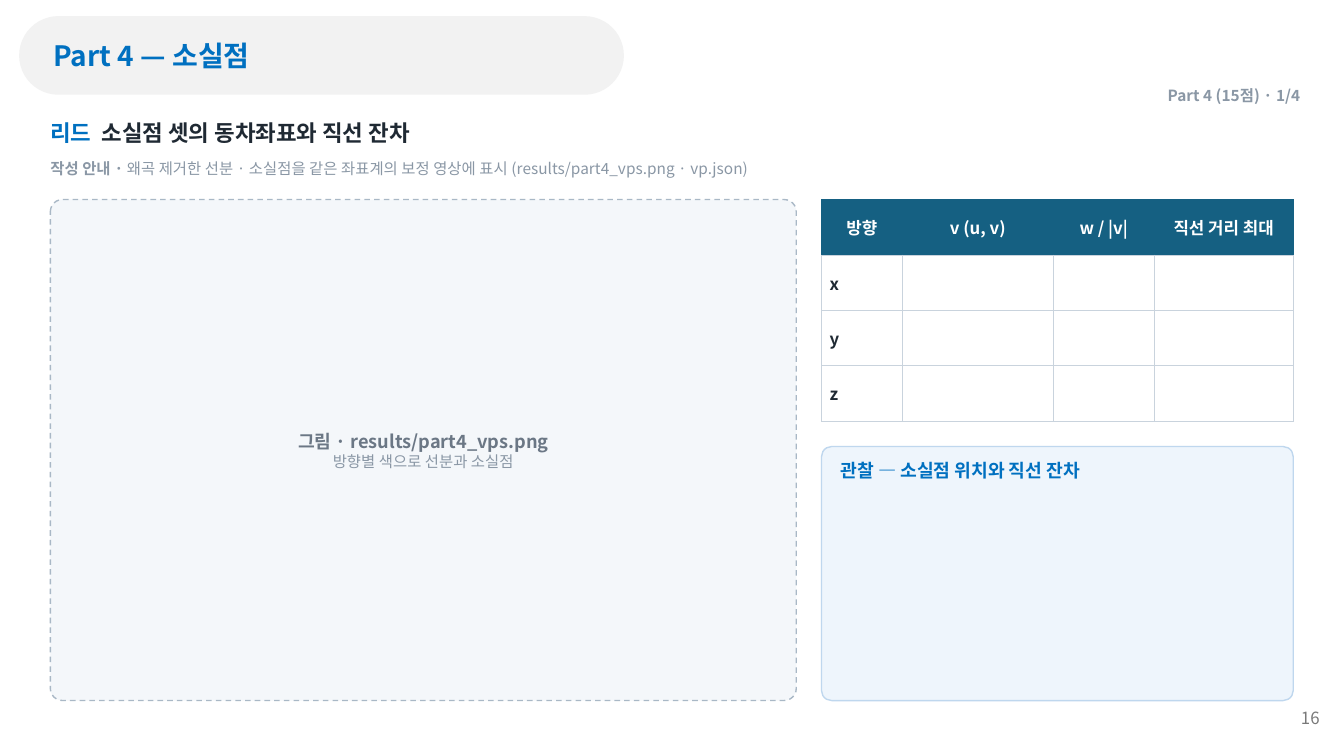
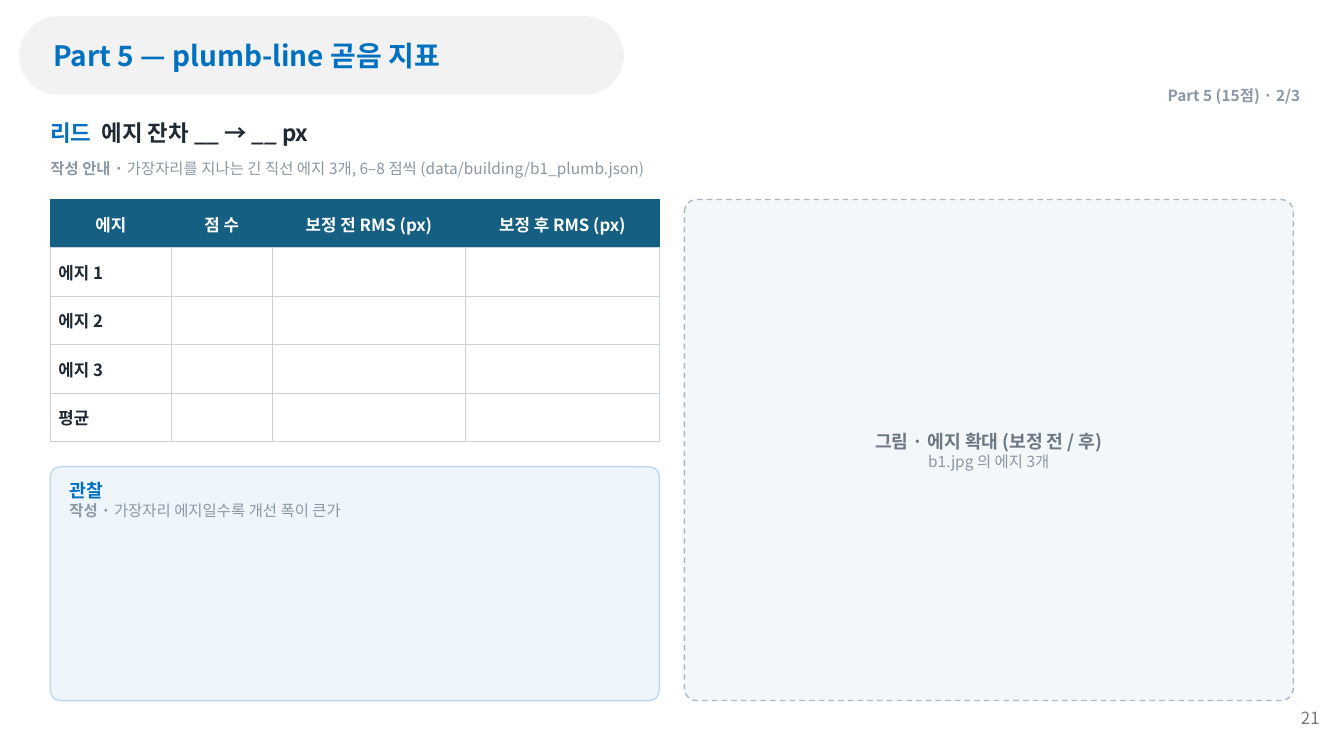
"""Build two report-template slides with a figure frame, a results table and an observation panel."""
from lxml import etree
from pptx import Presentation
from pptx import util as u
from pptx.dml.color import RGBColor
from pptx.enum import dml, shapes, text
from pptx.oxml import ns

FONT = "Noto Sans CJK KR"
COLOURS = {
    "blue": "0070C0", "ink": "1F2933", "muted": "8A97A5", "caption": "6B7785", "number": "797979",
    "pill": "F2F2F2", "frame": "F4F7FA", "frame_line": "A9B8C6", "panel": "EEF5FC",
    "panel_line": "BFD7EE", "header": "156082", "grid": "C9D3DD", "white": "FFFFFF",
}
LEFT, RIGHT, TOP, BOTTOM, GAP = 36, 923.76, 142.56, 500.4, 18
PILL = (13.68, 11.52, 432, 56.16)
MIDDLE = text.MSO_ANCHOR.MIDDLE
CENTER, RIGHT_ALIGN = text.PP_ALIGN.CENTER, text.PP_ALIGN.RIGHT


def colour(name):
    """Return the named colour."""
    return RGBColor.from_string(COLOURS[name])


def points(*lengths):
    """Convert lengths in points."""
    return [u.Pt(length) for length in lengths]


def fill_frame(frame, paragraphs, insets=(0, 0, 0, 0), anchor=MIDDLE, align=None):
    """Write paragraphs of (text, size, colour, bold) runs into a text frame."""
    frame.word_wrap = True
    frame.vertical_anchor = anchor
    (frame.margin_left, frame.margin_top,
     frame.margin_right, frame.margin_bottom) = points(*insets)
    for index, runs in enumerate(paragraphs):
        para = frame.add_paragraph() if index else frame.paragraphs[0]
        write_runs(para, runs, align)


def write_runs(para, runs, align=None):
    """Add formatted runs to a paragraph."""
    para.alignment = align
    for words, size, name, bold in runs:
        span = para.add_run()
        span.text = words
        span.font.size = u.Pt(size)
        span.font.bold = bold
        span.font.color.rgb = colour(name)
        span.font.name = FONT
        etree.SubElement(span.font._element, ns.qn("a:ea"), typeface=FONT)


def add_label(page, place, runs, align=None):
    """Add a one-line text box."""
    box = page.shapes.add_textbox(*points(*place))
    fill_frame(box.text_frame, [runs], align=align)


def add_rounded(page, place, radius, fill, line=None):
    """Add a rounded rectangle with a corner radius in points."""
    box = page.shapes.add_shape(shapes.MSO_SHAPE.ROUNDED_RECTANGLE, *points(*place))
    box.adjustments[0] = radius / min(place[2:])
    box.shadow.inherit = False
    box.fill.solid()
    box.fill.fore_color.rgb = colour(fill)
    if line:
        box.line.color.rgb = colour(line)
        box.line.width = u.Pt(1)
    else:
        box.line.fill.background()
    return box


def add_figure(page, left, right, caption, detail):
    """Add a dashed figure frame with its caption."""
    box = add_rounded(page, (left, TOP, right - left, BOTTOM - TOP), 8.64, "frame", "frame_line")
    box.line.dash_style = dml.MSO_LINE.DASH
    lines = [[(caption, 13, "caption", True)], [(detail, 11, "muted", False)]]
    fill_frame(box.text_frame, lines, (8.64,) * 4, align=CENTER)


def add_observation(page, left, top, right, paragraphs):
    """Add an observation panel reaching the bottom of the content area."""
    box = add_rounded(page, (left, top, right - left, BOTTOM - top), 7.2, "panel", "panel_line")
    fill_frame(box.text_frame, paragraphs, (11.52, 7.2, 11.52, 5.76), text.MSO_ANCHOR.TOP)


def set_borders(cell, name):
    """Draw all four borders of a cell."""
    properties = cell._tc.get_or_add_tcPr()
    for index, side in enumerate(("lnL", "lnR", "lnT", "lnB")):
        border = etree.Element(ns.qn(f"a:{side}"), w=str(u.Pt(0.75)))
        fill = etree.SubElement(border, ns.qn("a:solidFill"))
        etree.SubElement(fill, ns.qn("a:srgbClr"), val=COLOURS[name])
        properties.insert(index, border)


def add_results(page, left, widths, row_height, headers, labels):
    """Add a table with headers, row labels and empty cells, and return its bottom."""
    height = row_height * (len(labels) + 1)
    holder = page.shapes.add_table(len(labels) + 1, len(headers),
                                   *points(left, TOP, sum(widths), height))
    table = holder.table
    table.horz_banding = False
    for column, width in zip(table.columns, widths):
        column.width = u.Pt(width)
    rows = [headers] + [[label] + [""] * (len(headers) - 1) for label in labels]
    for row_index, row in enumerate(rows):
        table.rows[row_index].height = u.Pt(row_height)
        is_header = row_index == 0
        for column_index, words in enumerate(row):
            cell = table.cell(row_index, column_index)
            cell.vertical_anchor = MIDDLE
            cell.margin_left = cell.margin_right = u.Pt(5.76)
            cell.margin_top = cell.margin_bottom = u.Pt(2.16)
            cell.fill.solid()
            cell.fill.fore_color.rgb = colour("header" if is_header else "white")
            set_borders(cell, "header" if is_header else "grid")
            if words:
                write_runs(cell.text_frame.paragraphs[0],
                           [(words, 12, "white" if is_header else "ink", True)],
                           CENTER if is_header else None)
    return TOP + height


def add_page(deck, title, section, lead, guide, number):
    """Add a slide with the shared title band, lead lines and page number."""
    page = deck.slides.add_slide(deck.slide_layouts.get_by_name("Title Only"))
    heading = page.shapes.title
    pill = add_rounded(page, PILL, PILL[3] / 2, "pill")
    heading._element.addprevious(pill._element)
    heading.left, heading.top, heading.width, heading.height = points(*PILL)
    fill_frame(heading.text_frame, [[(title, 20, "blue", True)]], (24.2, 3.6, 15.4, 3.6),
               align=text.PP_ALIGN.LEFT)
    add_label(page, (910, 498.24, 32.6, 28.8), [(number, 12, "number", False)], RIGHT_ALIGN)
    add_label(page, (680.4, 57.6, 248.4, 21.6), [(section, 11, "muted", True)], RIGHT_ALIGN)
    add_label(page, (LEFT, 79.2, RIGHT - LEFT, 30.24),
              [("리드  ", 16, "blue", True), (lead, 16, "ink", True)])
    add_label(page, (LEFT, 108, RIGHT - LEFT, 24.48),
              [("작성 안내 · ", 11, "muted", True), (guide, 11, "muted", False)])
    return page


def add_vanishing_points(deck):
    """Add the vanishing-point slide."""
    page = add_page(deck, "Part 4 — 소실점", "Part 4 (15점) · 1/4", "소실점 셋의 동차좌표와 직선 잔차",
                    "왜곡 제거한 선분 · 소실점을 같은 좌표계의 보정 영상에 표시 "
                    "(results/part4_vps.png · vp.json)", "16")
    widths = (57.6, 108, 72, 99.36)
    left = RIGHT - sum(widths)
    add_figure(page, LEFT, left - GAP, "그림 · results/part4_vps.png", "방향별 색으로 선분과 소실점")
    bottom = add_results(page, left, widths, 39.6,
                         ["방향", "v (u, v)", "w / |v|", "직선 거리 최대"], ["x", "y", "z"])
    add_observation(page, left, bottom + GAP, RIGHT,
                    [[("관찰 — 소실점 위치와 직선 잔차", 13, "blue", True)]])


def add_straightness(deck):
    """Add the plumb-line straightness slide."""
    page = add_page(deck, "Part 5 — plumb-line 곧음 지표", "Part 5 (15점) · 2/3",
                    "에지 잔차 __ → __ px",
                    "가장자리를 지나는 긴 직선 에지 3개, 6–8 점씩 (data/building/b1_plumb.json)", "21")
    widths = (86.4, 72, 138.24, 138.24)
    right = LEFT + sum(widths)
    bottom = add_results(page, LEFT, widths, 34.56,
                         ["에지", "점 수", "보정 전 RMS (px)", "보정 후 RMS (px)"],
                         ["에지 1", "에지 2", "에지 3", "평균"])
    add_observation(page, LEFT, bottom + GAP, right,
                    [[("관찰", 13, "blue", True)],
                     [("작성 · ", 11, "muted", True),
                      ("가장자리 에지일수록 개선 폭이 큰가", 11, "muted", False)]])
    add_figure(page, right + GAP, RIGHT, "그림 · 에지 확대 (보정 전 / 후)", "b1.jpg 의 에지 3개")


def main():
    """Build and save the deck."""
    deck = Presentation()
    deck.slide_width, deck.slide_height = points(960, 540)
    add_vanishing_points(deck)
    add_straightness(deck)
    deck.save("out.pptx")


if __name__ == "__main__":
    main()
